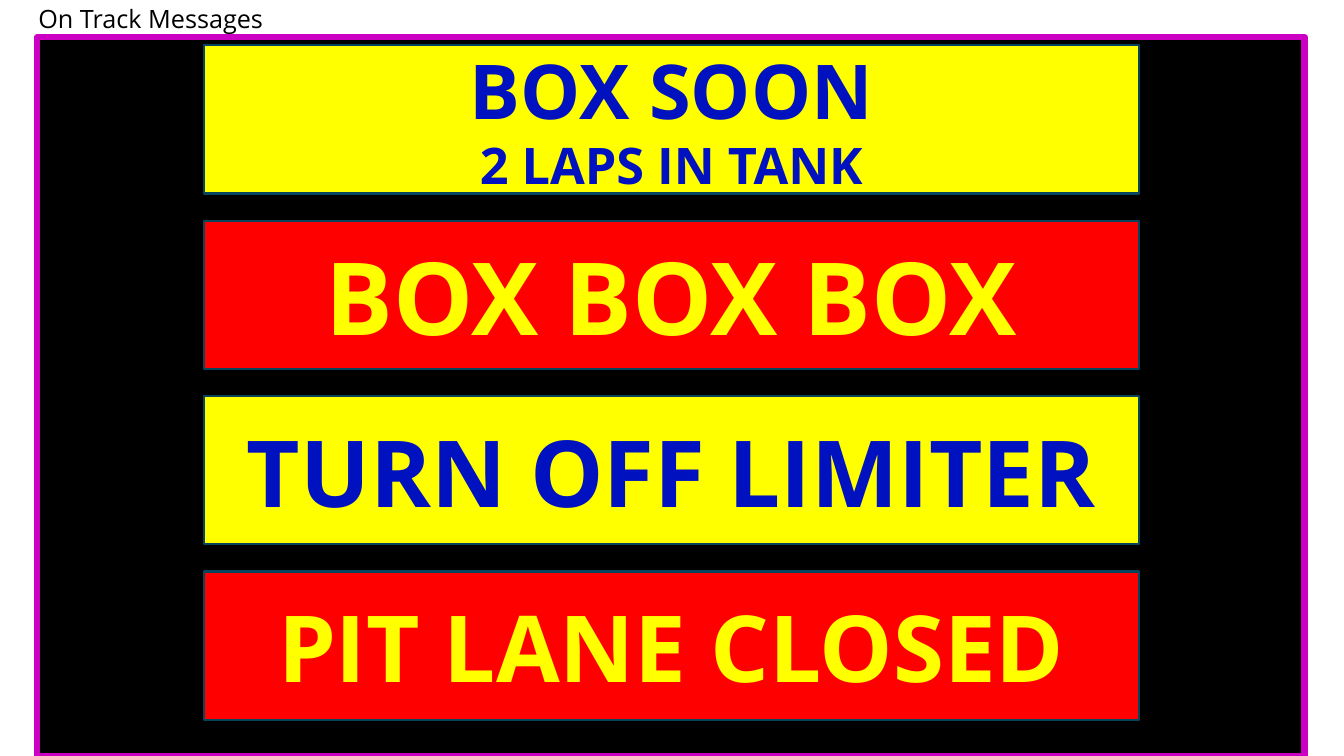
from pptx import Presentation
from pptx.dml.color import RGBColor
from pptx.enum.shapes import MSO_SHAPE
from pptx.enum.text import MSO_ANCHOR, MSO_AUTO_SIZE, PP_ALIGN
from pptx.util import Inches, Pt

RECTANGLE = MSO_SHAPE.RECTANGLE
MIDDLE, TOP = MSO_ANCHOR.MIDDLE, MSO_ANCHOR.TOP
CENTER, LEFT = PP_ALIGN.CENTER, PP_ALIGN.LEFT
NO_AUTOFIT = MSO_AUTO_SIZE.NONE

BLACK = RGBColor(0x00, 0x00, 0x00)
MAGENTA = RGBColor(0xCC, 0x00, 0xC2)
YELLOW = RGBColor(0xFF, 0xFF, 0x00)
RED = RGBColor(0xFF, 0x00, 0x00)
BLUE = RGBColor(0x00, 0x12, 0xC0)
TEAL = RGBColor(0x07, 0x45, 0x5D)

FONT = "Open Sans"
HEADING = "On Track Messages"
ADVICE = (YELLOW, BLUE)
ALERT = (RED, YELLOW)
MESSAGES = [
    (ADVICE, [("BOX SOON", 54), ("2 LAPS IN TANK", 36)]),
    (ALERT, [("BOX BOX BOX", 72)]),
    (ADVICE, [("TURN OFF LIMITER", 66)]),
    (ALERT, [("PIT LANE CLOSED", 66)]),
]

SCREEN = (0.37, 0.37, 12.57, 7.13)
BANNER_LEFT, BANNER_TOP = 2.02, 0.45
BANNER_WIDTH, BANNER_HEIGHT = 9.28, 1.47
BANNER_PITCH = 1.74


def write(frame, lines, *, color, bold=False, align=CENTER, anchor=MIDDLE):
    frame.word_wrap = True
    frame.auto_size = NO_AUTOFIT
    frame.vertical_anchor = anchor
    for index, (text, size) in enumerate(lines):
        paragraph = frame.add_paragraph() if index else frame.paragraphs[0]
        paragraph.alignment = align
        run = paragraph.add_run()
        run.text = text
        run.font.name = FONT
        run.font.size = Pt(size)
        run.font.bold = bold
        run.font.color.rgb = color


def add_panel(slide, box, fill, border, border_width):
    panel = slide.shapes.add_shape(RECTANGLE, *map(Inches, box))
    panel.shadow.inherit = False
    panel.fill.solid()
    panel.fill.fore_color.rgb = fill
    panel.line.color.rgb = border
    panel.line.width = Pt(border_width)
    return panel


def main():
    deck = Presentation()
    deck.slide_width, deck.slide_height = Inches(13.33), Inches(7.5)
    slide = deck.slides.add_slide(deck.slide_layouts[5])

    heading = slide.shapes.title
    heading.left, heading.top = Inches(0.28), Inches(-0.02)
    heading.width, heading.height = Inches(2.51), Inches(0.4)
    write(heading.text_frame, [(HEADING, 18)], color=BLACK, align=LEFT, anchor=TOP)

    add_panel(slide, SCREEN, BLACK, MAGENTA, 4.5)
    for row, ((fill, ink), lines) in enumerate(MESSAGES):
        top = BANNER_TOP + row * BANNER_PITCH
        box = (BANNER_LEFT, top, BANNER_WIDTH, BANNER_HEIGHT)
        banner = add_panel(slide, box, fill, TEAL, 1.5)
        write(banner.text_frame, lines, color=ink, bold=True)

    deck.save("out.pptx")


if __name__ == "__main__":
    main()
